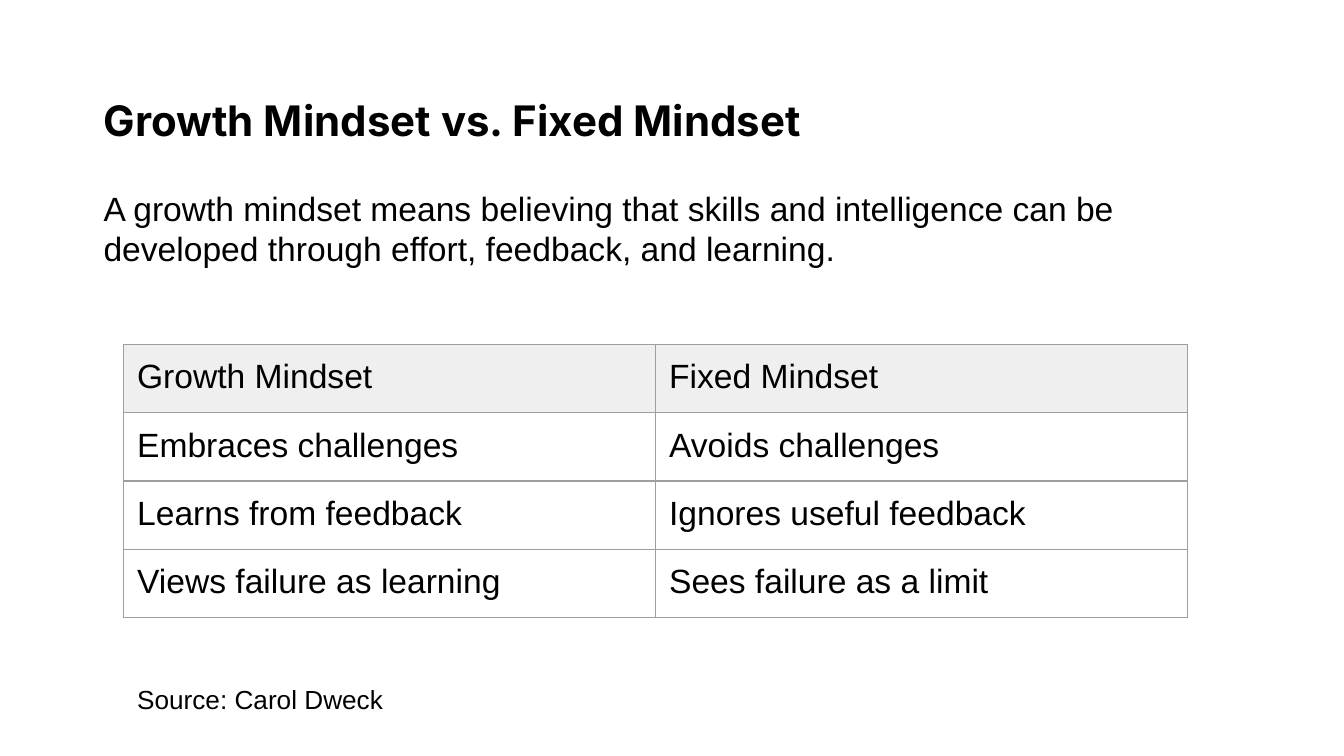
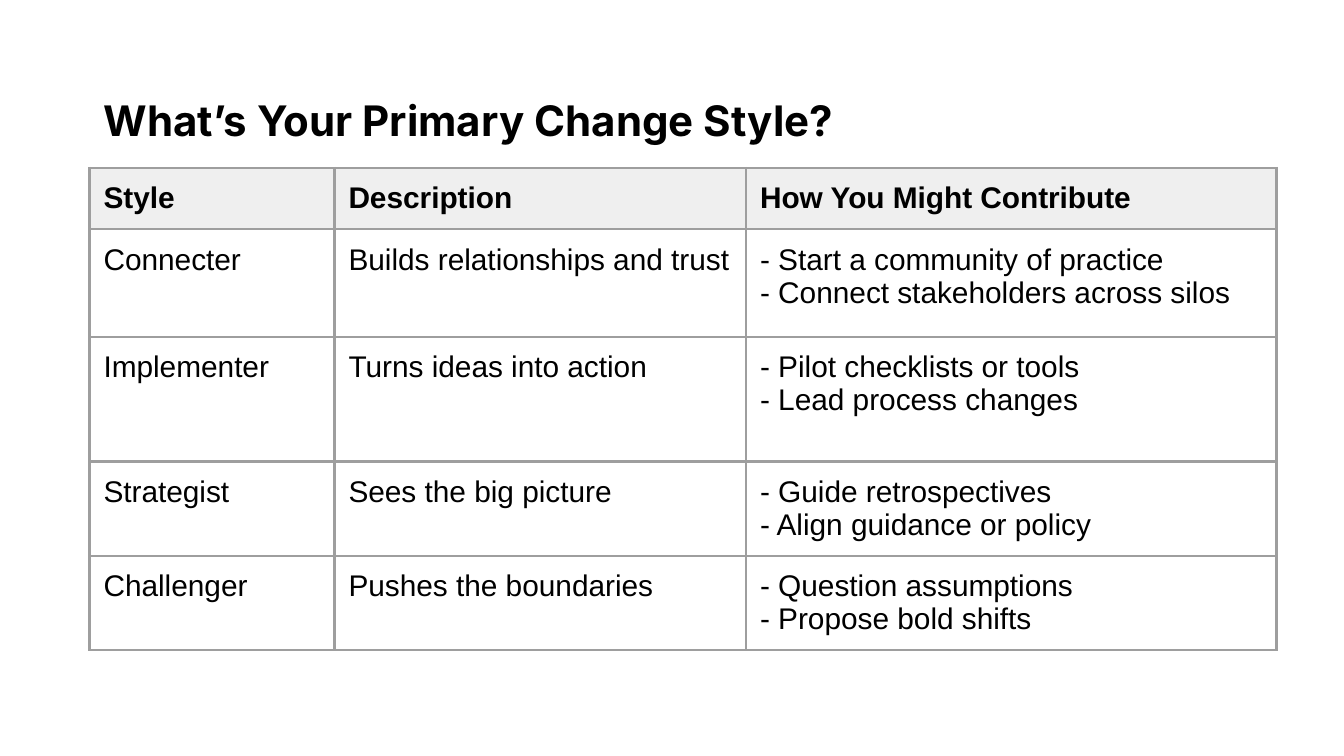
from lxml.etree import SubElement
from pptx import Presentation
from pptx.dml.color import RGBColor
from pptx.enum.text import MSO_ANCHOR, MSO_AUTO_SIZE, PP_ALIGN
from pptx.oxml.ns import qn
from pptx.util import Emu, Pt

PX = 9525
BLACK, GRAY, HEADER = "000000", "9E9E9E", "EFEFEF"
TITLE_BOX = (64, 64, 772, 36)
PAD = 10


def px(n):
    return Emu(n * PX)


def rgb(value):
    return RGBColor.from_string(value)


def style_text(tf, size, name="Arial", bold=False):
    for p in tf.paragraphs:
        p.alignment = PP_ALIGN.LEFT
        p.font.size = Pt(size)
        p.font.name = name
        p.font.bold = bold
        p.font.color.rgb = rgb(BLACK)


def set_margins(target, x, y):
    target.margin_left = target.margin_right = px(x)
    target.margin_top = target.margin_bottom = px(y)


def add_titled_slide(prs, text):
    s = prs.slides.add_slide(prs.slide_layouts[5])
    title = s.shapes.title
    title.left, title.top, title.width, title.height = map(px, TITLE_BOX)
    tf = title.text_frame
    tf.text = text
    tf.word_wrap = True
    tf.auto_size = MSO_AUTO_SIZE.NONE
    tf.vertical_anchor = MSO_ANCHOR.MIDDLE
    set_margins(tf, PAD, PAD // 2)
    tf.paragraphs[0].line_spacing = 1.2
    style_text(tf, 22.5, "Inter", True)
    return s


def add_text(s, box, text, size, anchor=MSO_ANCHOR.TOP):
    tf = s.shapes.add_textbox(*map(px, box)).text_frame
    tf.text = text
    tf.word_wrap = True
    tf.vertical_anchor = anchor
    set_margins(tf, PAD, PAD)
    style_text(tf, size)


def set_borders(cell, width):
    tcPr = cell._tc.get_or_add_tcPr()
    for side in ("a:lnL", "a:lnR", "a:lnT", "a:lnB"):
        ln = SubElement(tcPr, qn(side), w=str(Pt(width)))
        fill = SubElement(ln, qn("a:solidFill"))
        SubElement(fill, qn("a:srgbClr"), val=GRAY)


def add_grid(s, left, top, cols, heights, rows, size, border, bold_header=False):
    frame = s.shapes.add_table(len(rows), len(cols), px(left), px(top),
                               px(sum(cols)), px(sum(heights)))
    table = frame.table
    table.first_row = table.horz_banding = False
    for column, width in zip(table.columns, cols):
        column.width = px(width)
    for i, (row, height, texts) in enumerate(zip(table.rows, heights, rows)):
        row.height = px(height)
        for cell, text in zip(row.cells, texts):
            cell.text = text
            set_margins(cell, PAD, PAD)
            set_borders(cell, border)
            if i == 0:
                cell.fill.solid()
                cell.fill.fore_color.rgb = rgb(HEADER)
            else:
                cell.fill.background()
            style_text(cell.text_frame, size, bold=bold_header and i == 0)


def build_mindset_slide(prs):
    s = add_titled_slide(prs, "Growth Mindset vs. Fixed Mindset")
    add_text(s, (64, 127, 833, 72),
             "A growth mindset means believing that skills and intelligence "
             "can be developed through effort, feedback, and learning.",
             18, MSO_ANCHOR.MIDDLE)
    rows = [
        ("Growth Mindset", "Fixed Mindset"),
        ("Embraces challenges", "Avoids challenges"),
        ("Learns from feedback", "Ignores useful feedback"),
        ("Views failure as learning", "Sees failure as a limit"),
    ]
    add_grid(s, 88, 246, [380] * 2, [46] * len(rows), rows, 18, 0.75)
    add_text(s, (88, 478, 315, 42), "Source: Carol Dweck", 14)


def build_style_slide(prs):
    s = add_titled_slide(prs, "What’s Your Primary Change Style?")
    rows = [
        ("Style", "Description", "How You Might Contribute"),
        ("Connecter", "Builds relationships and trust",
         "- Start a community of practice\n- Connect stakeholders across silos"),
        ("Implementer", "Turns ideas into action",
         "- Pilot checklists or tools\n- Lead process changes"),
        ("Strategist", "Sees the big picture",
         "- Guide retrospectives\n- Align guidance or policy"),
        ("Challenger", "Pushes the boundaries",
         "- Question assumptions\n- Propose bold shifts"),
    ]
    add_grid(s, 64, 120, [175, 294, 379], [43, 77, 89, 67, 67], rows,
             16, 1.5, bold_header=True)


def main():
    prs = Presentation()
    prs.slide_width, prs.slide_height = px(960), px(540)
    build_mindset_slide(prs)
    build_style_slide(prs)
    prs.save("out.pptx")


if __name__ == "__main__":
    main()
